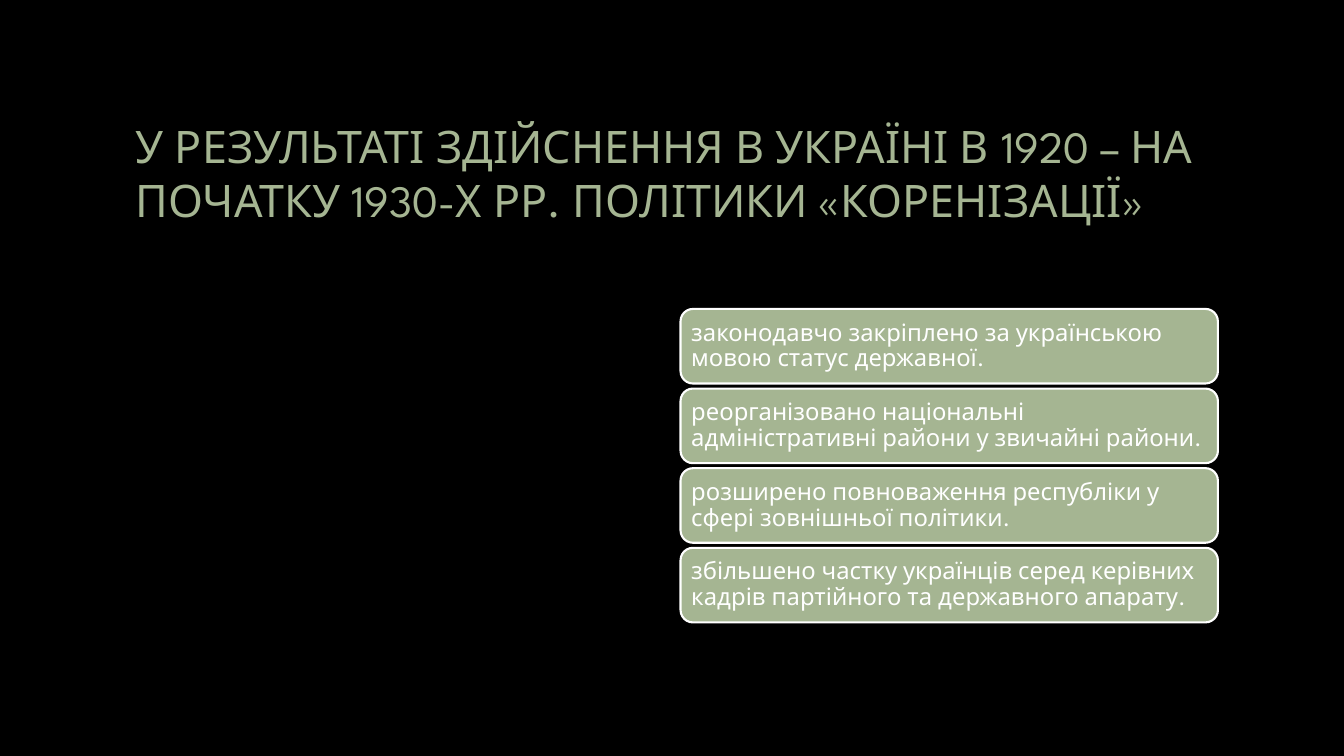
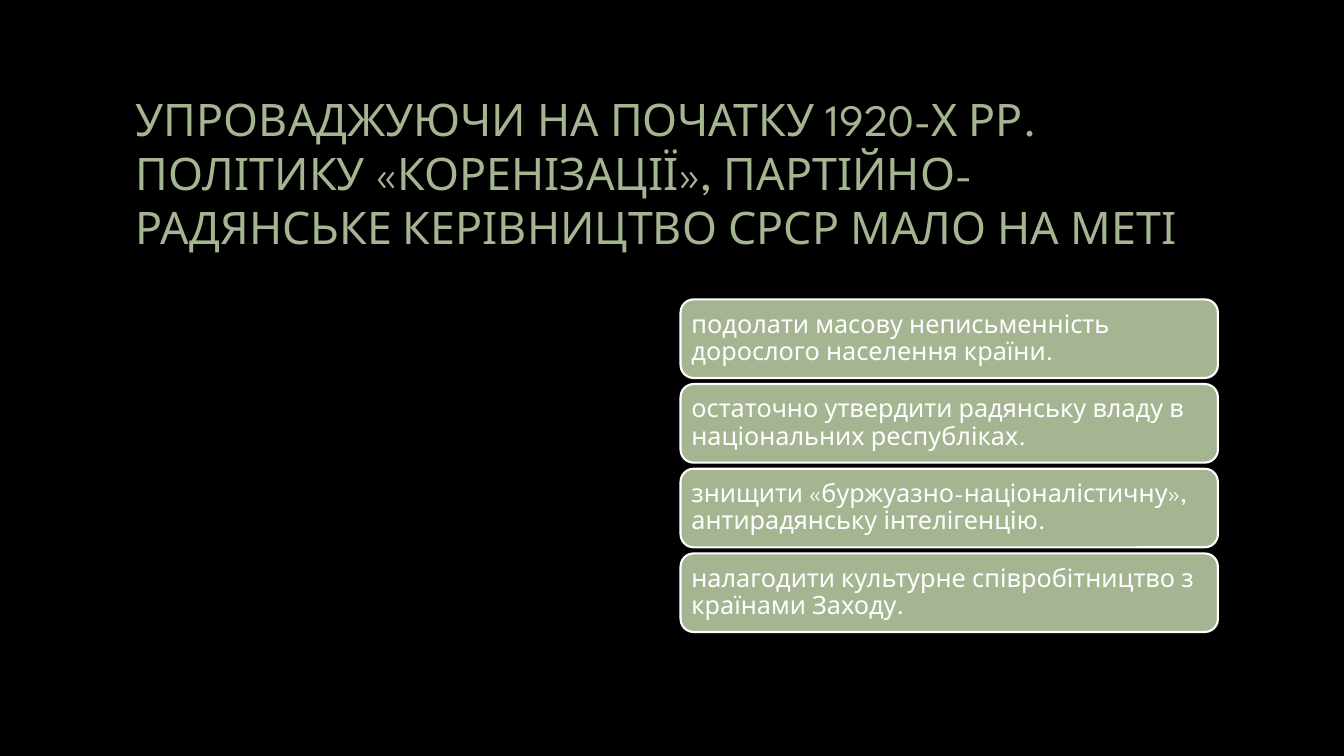
"""Builds two slides on the policy of korenizatsiia, each a title and a stack of cards."""
from dataclasses import dataclass

from pptx import Presentation
from pptx.dml.color import RGBColor
from pptx.enum.shapes import MSO_SHAPE
from pptx.enum.text import MSO_ANCHOR, PP_ALIGN
from pptx.util import Inches, Pt

FONT = "League Spartan"
BLACK = RGBColor(0x00, 0x00, 0x00)
SAGE = RGBColor(0xA5, 0xB5, 0x92)
WHITE = RGBColor(0xFF, 0xFF, 0xFF)
CARD_LEFT, CARD_WIDTH = 6.75, 5.33
STACK_MIDDLE = 4.62


@dataclass(frozen=True)
class CardStack:
    title: str
    cards: tuple[str, ...]
    card_height: float
    gap: float
    text_size: int


STACKS = (
    CardStack(
        "У РЕЗУЛЬТАТІ ЗДІЙСНЕННЯ В УКРАЇНІ В 1920 – НА ПОЧАТКУ 1930-Х РР. "
        "ПОЛІТИКИ «КОРЕНІЗАЦІЇ»",
        (
            "законодавчо закріплено за українською мовою статус державної.",
            "реорганізовано національні адміністративні райони у звичайні райони.",
            "розширено повноваження республіки у сфері зовнішньої політики.",
            "збільшено частку українців серед керівних кадрів партійного та "
            "державного апарату.",
        ),
        card_height=0.74,
        gap=0.05,
        text_size=17,
    ),
    CardStack(
        "УПРОВАДЖУЮЧИ НА ПОЧАТКУ 1920-Х РР. ПОЛІТИКУ «КОРЕНІЗАЦІЇ», "
        "ПАРТІЙНО-РАДЯНСЬКЕ КЕРІВНИЦТВО СРСР МАЛО НА МЕТІ",
        (
            "подолати масову неписьменність дорослого населення країни.",
            "остаточно утвердити радянську владу в національних республіках.",
            "знищити «буржуазно-націоналістичну», антирадянську інтелігенцію.",
            "налагодити культурне співробітництво з країнами Заходу.",
        ),
        card_height=0.78,
        gap=0.06,
        text_size=18,
    ),
)


def write_text(shape, text: str, size: int, color: RGBColor, spacing: float) -> None:
    frame = shape.text_frame
    frame.word_wrap = True
    frame.vertical_anchor = MSO_ANCHOR.MIDDLE
    para = frame.paragraphs[0]
    para.alignment = PP_ALIGN.LEFT
    para.line_spacing = spacing
    span = para.add_run()
    span.text = text
    span.font.name = FONT
    span.font.size = Pt(size)
    span.font.color.rgb = color


def add_title(page, text: str) -> None:
    box = page.shapes.add_textbox(Inches(1.25), Inches(0.67), Inches(10.83), Inches(2.08))
    write_text(box, text, 32, SAGE, 1.0)


def add_card(page, text: str, top: float, height: float, size: int) -> None:
    card = page.shapes.add_shape(
        MSO_SHAPE.ROUNDED_RECTANGLE,
        Inches(CARD_LEFT), Inches(top), Inches(CARD_WIDTH), Inches(height),
    )
    card.shadow.inherit = False
    card.fill.solid()
    card.fill.fore_color.rgb = SAGE
    card.line.color.rgb = WHITE
    card.line.width = Pt(1.5)
    frame = card.text_frame
    frame.margin_left = frame.margin_right = Inches(0.07)
    frame.margin_top = frame.margin_bottom = Inches(0.07)
    write_text(card, text, size, WHITE, 0.9)


def add_page(deck, stack: CardStack) -> None:
    page = deck.slides.add_slide(deck.slide_layouts[6])
    page.background.fill.solid()
    page.background.fill.fore_color.rgb = BLACK
    add_title(page, stack.title)
    pitch = stack.card_height + stack.gap
    first_top = STACK_MIDDLE - (len(stack.cards) * pitch - stack.gap) / 2
    for index, text in enumerate(stack.cards):
        add_card(page, text, first_top + index * pitch, stack.card_height, stack.text_size)


def main() -> None:
    deck = Presentation()
    deck.slide_width = Inches(13.33)
    deck.slide_height = Inches(7.5)
    for stack in STACKS:
        add_page(deck, stack)
    deck.save("out.pptx")


if __name__ == "__main__":
    main()
